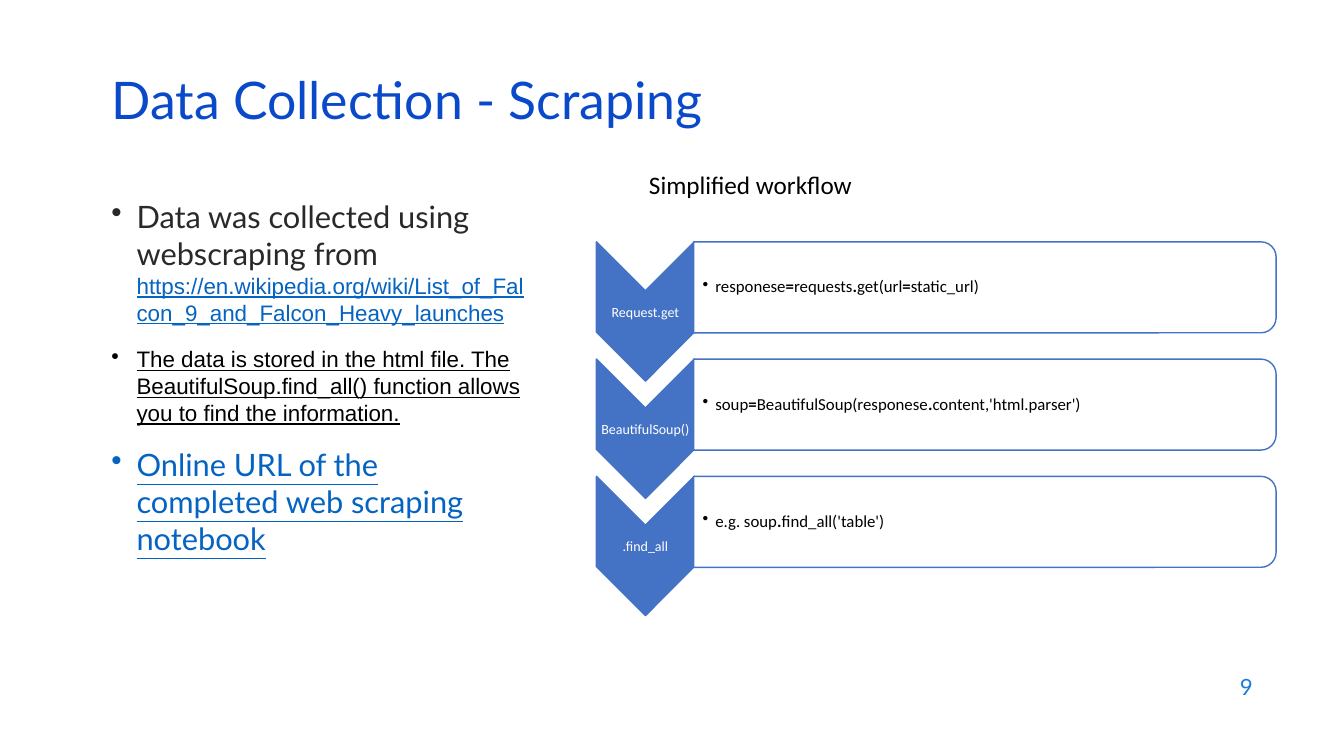
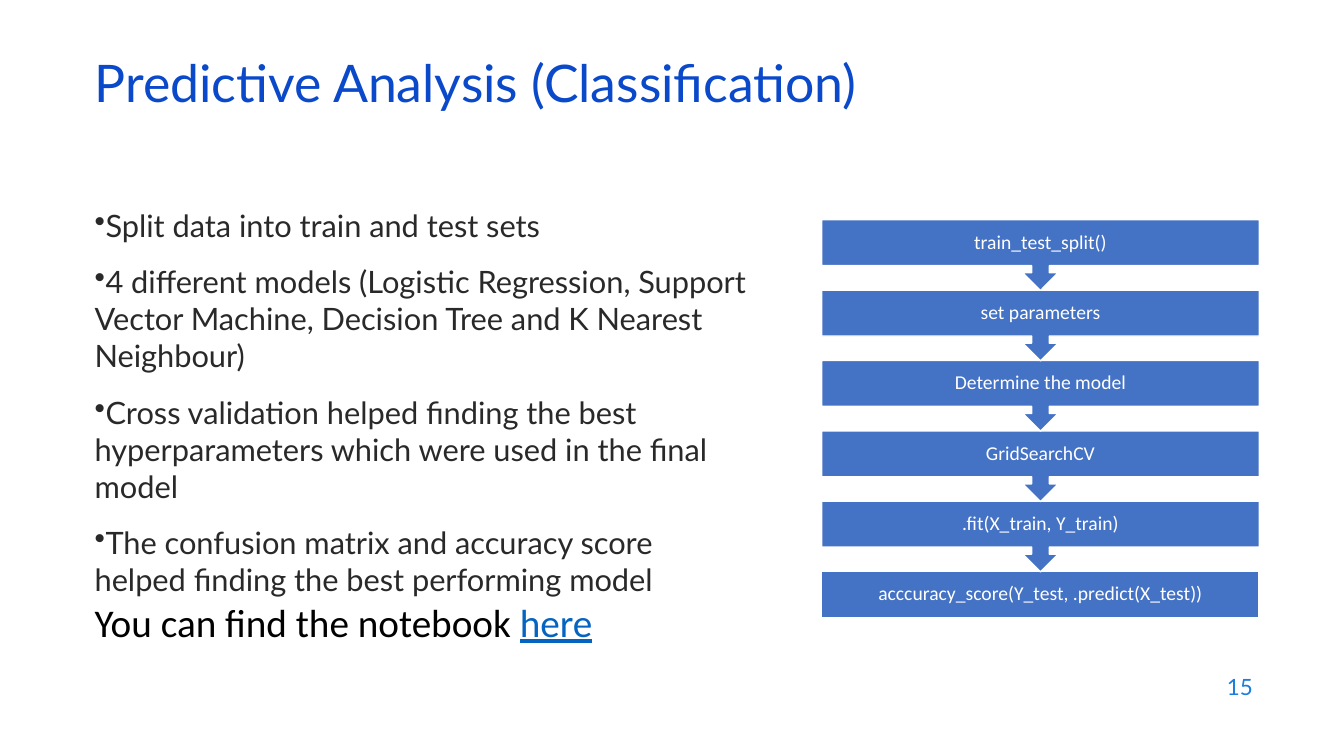
"""Build two slides on data scraping and model choice."""
from collections import namedtuple
from dataclasses import dataclass

from lxml import etree
from pptx import Presentation
from pptx import util as u
from pptx.dml import color
from pptx.enum import shapes, text
from pptx.oxml import ns

Pt = u.Pt
Kind = shapes.MSO_SHAPE
Side = text.PP_ALIGN
Style = namedtuple("Style", "font size ink under bold", defaults=(False, False))


@dataclass(frozen=True)
class Theme:
    fill: str = "4472C4"
    white: str = "FFFFFF"
    title: Style = Style("Lato", 37, "0B49CB")
    page: Style = Style("Lato", 16, "1C7DDB")
    body: Style = Style("Lato", 22, "292929")
    link: Style = Style("Lato", 22, "0563C1", True)
    url: Style = Style("Arial", 16, "0563C1", True)
    note: Style = Style("Arial", 16, "000000", True)
    head: Style = Style("Calibri", 18, "000000")
    close: Style = Style("Calibri", 28, "000000")
    here: Style = Style("Calibri", 28, "0563C1", True)
    tag: Style = Style("Calibri", 10, "FFFFFF")
    code: Style = Style("Calibri", 12, "000000")
    step: Style = Style("Calibri", 14, "FFFFFF")


class Deck:
    def __init__(self, theme):
        self.theme = theme
        self.prs = Presentation()
        self.prs.slide_width, self.prs.slide_height = Pt(960), Pt(540)
        self.slide = None

    def start(self, title, page, left, top):
        self.slide = self.prs.slides.add_slide(self.prs.slide_layouts[5])
        head = self.slide.shapes.title
        head.left, head.top, head.width, head.height = Pt(left), Pt(top), Pt(828), Pt(43)
        frame = head.text_frame
        frame.auto_size = text.MSO_AUTO_SIZE.NONE
        frame.vertical_anchor = text.MSO_ANCHOR.MIDDLE
        self.para(frame.paragraphs[0], [(title, self.theme.title)], space=0.7)
        self.label(page, self.theme.page, 686, 474.5, 216, 32, align=Side.RIGHT)

    def para(self, par, runs, align=Side.LEFT, space=1, before=0, hang=None):
        par.alignment, par.line_spacing = align, space
        par.space_before = Pt(before)
        if hang is not None:
            props = par._p.get_or_add_pPr()
            props.set("marL", str(Pt(hang)))
            props.set("indent", str(-Pt(hang)))
            etree.SubElement(props, ns.qn("a:buChar"), char="•")
        for words, style in runs:
            run = par.add_run()
            run.text = words
            font = run.font
            font.name, font.size = style.font, Pt(style.size)
            font.bold, font.underline = style.bold, style.under
            font.color.rgb = color.RGBColor.from_string(style.ink)

    def box(self, x, y, w, h, pad=None, anchor=text.MSO_ANCHOR.TOP):
        frame = self.slide.shapes.add_textbox(Pt(x), Pt(y), Pt(w), Pt(h)).text_frame
        frame.word_wrap = True
        frame.vertical_anchor = anchor
        if pad is not None:
            self.pad(frame, pad)
        return frame

    def pad(self, frame, left):
        frame.margin_left = Pt(left)
        frame.margin_right = frame.margin_top = frame.margin_bottom = Pt(1)

    def label(self, words, style, x, y, w, h, align=Side.CENTER, pad=None):
        frame = self.box(x, y, w, h, pad, text.MSO_ANCHOR.MIDDLE)
        self.para(frame.paragraphs[0], [(words, style)], align)

    def list(self, items, x, y, w, h):
        frame = self.box(x, y, w, h)
        for i, (runs, before, hang) in enumerate(items):
            par = frame.add_paragraph() if i else frame.paragraphs[0]
            self.para(par, runs, before=before if i else 0, hang=hang,
                      space=0.9 if hang is None else 1)

    def shape(self, kind, x, y, w, h, fill, line, turn=False):
        if turn:
            x, y, w, h = x + (w - h) / 2, y + (h - w) / 2, h, w
        item = self.slide.shapes.add_shape(kind, Pt(x), Pt(y), Pt(w), Pt(h))
        item.rotation = 90 if turn else 0
        item.shadow.inherit = False
        item.fill.solid()
        item.fill.fore_color.rgb = color.RGBColor.from_string(fill)
        item.line.color.rgb = color.RGBColor.from_string(line)
        item.line.width = Pt(1)
        return item

    def stage(self, tag, parts, y):
        t = self.theme
        arrow, card = (426, y, 70, 99.5), (495.5, y, 416, 65)
        self.shape(Kind.CHEVRON, *arrow, t.fill, t.fill, turn=True)
        self.label(tag, t.tag, *arrow, pad=1)
        self.shape(Kind.ROUND_2_SAME_RECTANGLE, *card, t.white, t.fill, turn=True)
        frame = self.box(*card, pad=6.5, anchor=text.MSO_ANCHOR.MIDDLE)
        runs = [(part, t.code._replace(bold=i % 2 == 1)) for i, part in enumerate(parts)]
        self.para(frame.paragraphs[0], runs, space=0.9, hang=9)

    def step(self, words, y, last):
        kind, high = (Kind.RECTANGLE, 33) if last else (Kind.DOWN_ARROW_CALLOUT, 50.5)
        item = self.shape(kind, 587, y, 312.5, high, self.theme.fill, self.theme.white)
        frame = item.text_frame
        frame.word_wrap = True
        frame.vertical_anchor = text.MSO_ANCHOR.MIDDLE
        self.pad(frame, 1)
        self.para(frame.paragraphs[0], [(words, self.theme.step)], Side.CENTER, 0.9)


def scrape(deck):
    t = deck.theme
    deck.start("Data Collection - Scraping", "9", 72.5, 54.5)
    deck.list([
        ([("Data was collected using webscraping from ", t.body),
          ("https://en.wikipedia.org/wiki/List_of_Falcon_9_and_Falcon_Heavy_launches", t.url)],
         14, 18),
        ([("The data is stored in the html file. The BeautifulSoup.find_all() function "
           "allows you to find the information.", t.note)], 14, 18),
        ([("Online URL of the completed web scraping notebook", t.link)], 14, 18),
    ], 72.5, 138, 310, 300)
    deck.label("Simplified workflow", t.head, 456.5, 117, 413, 29, align=Side.LEFT)
    stages = [
        ("Request.get", ["responese", "=", "requests", ".", "get(url", "=", "static_url)"]),
        ("BeautifulSoup()", ["soup", "=", "BeautifulSoup(responese", ".",
                             "content,'html.parser')"]),
        (".find_all", ["e.g. soup", ".", "find_all('table')"]),
    ]
    for i, (tag, parts) in enumerate(stages):
        deck.stage(tag, parts, 172.75 + 83.75 * i)


def predict(deck):
    t = deck.theme
    deck.start("Predictive Analysis (Classification)", "15", 60.5, 42.5)
    points = [
        "Split data into train and test sets",
        "4 different models (Logistic Regression, Support Vector Machine, "
        "Decision Tree and K Nearest Neighbour)",
        "Cross validation helped finding the best hyperparameters which were used "
        "in the final model",
        "The confusion matrix and accuracy score helped finding the best performing model",
    ]
    items = [([(point, t.body)], 14, 0) for point in points]
    items.append(([("You can find the notebook ", t.close), ("here", t.here)], 4, None))
    deck.list(items, 60.5, 144, 481, 343)
    steps = ["train_test_split()", "set parameters", "Determine the model", "GridSearchCV",
             ".fit(X_train, Y_train)", "acccuracy_score(Y_test, .predict(X_test))"]
    last = len(steps) - 1
    for i in range(last, -1, -1):
        deck.step(steps[i], 157 + 50.25 * i, i == last)


def main():
    deck = Deck(Theme())
    scrape(deck)
    predict(deck)
    deck.prs.save("out.pptx")


if __name__ == "__main__":
    main()
